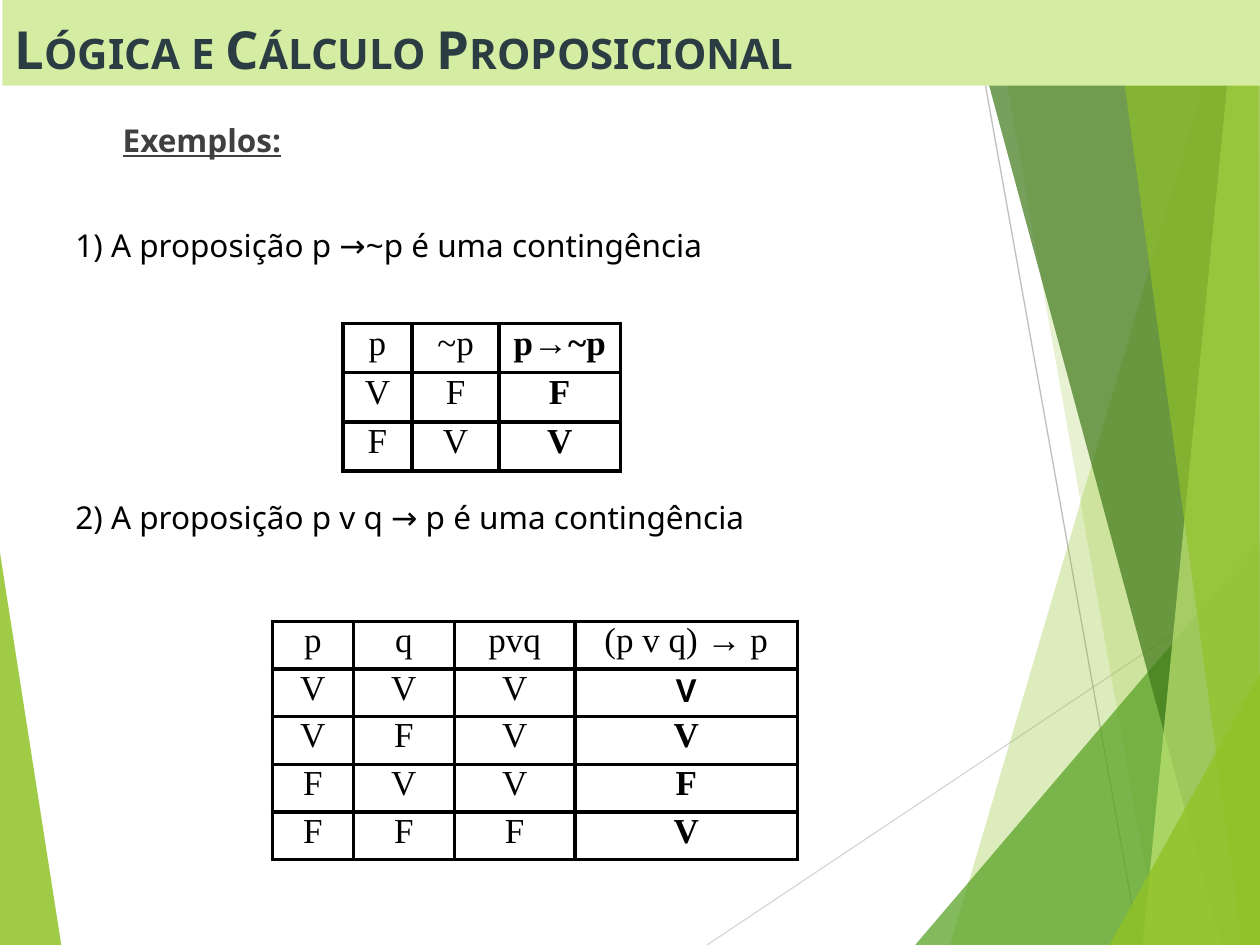
from dataclasses import dataclass

from lxml.etree import SubElement
from pptx import Presentation
from pptx.dml.color import RGBColor
from pptx.enum.shapes import MSO_CONNECTOR, MSO_SHAPE
from pptx.enum.text import MSO_ANCHOR, PP_ALIGN
from pptx.oxml.ns import qn
from pptx.util import Pt

BLACK = RGBColor(0x00, 0x00, 0x00)
GRAY = RGBColor(0x40, 0x40, 0x40)
SLATE = RGBColor(0x2C, 0x3C, 0x43)
PALE_GREEN = RGBColor(0xD5, 0xED, 0xA2)
LIME = RGBColor(0x90, 0xC2, 0x26)
LIGHT_LIME = RGBColor(0xC0, 0xE4, 0x74)
GREEN = RGBColor(0x54, 0xA0, 0x21)
DARK_GREEN = RGBColor(0x3F, 0x78, 0x19)
SILVER = RGBColor(0xBF, 0xBF, 0xBF)
LIGHT_SILVER = RGBColor(0xD9, 0xD9, 0xD9)

SANS = "Noto Sans"
SERIF = "Times New Roman"
WIDTH, HEIGHT = 720, 540


@dataclass
class Facet:
    points: list[tuple[float, float]]
    color: RGBColor
    opacity: int


@dataclass
class Ray:
    start: tuple[float, float]
    end: tuple[float, float]
    color: RGBColor


@dataclass
class TruthTable:
    left: float
    top: float
    column_widths: list[float]
    row_height: float
    rows: list[list[str]]
    bold_cells: set[tuple[int, int]]
    font_by_cell: dict[tuple[int, int], str]


BOTTOM_RIGHT, TOP_RIGHT = (WIDTH, HEIGHT), (WIDTH, 0)

DECORATION = [
    Facet([(0, 316), (35.3, HEIGHT), (0, HEIGHT)], LIME, 85),
    Ray((404, HEIGHT), (WIDTH, 329), LIGHT_SILVER),
    Ray((554.4, 0), (651, HEIGHT), SILVER),
    Facet([(702, 0), (543, HEIGHT), BOTTOM_RIGHT, TOP_RIGHT], LIME, 30),
    Facet([(567.4, 0), (661.7, HEIGHT), BOTTOM_RIGHT, TOP_RIGHT], LIME, 20),
    Facet([(522.7, HEIGHT), (WIDTH, 309), BOTTOM_RIGHT], GREEN, 72),
    Facet([(552.2, 0), (698.4, HEIGHT), BOTTOM_RIGHT, TOP_RIGHT], DARK_GREEN, 70),
    Facet([(706.3, 0), (653, HEIGHT), BOTTOM_RIGHT, TOP_RIGHT], LIGHT_LIME, 70),
    Facet([(635.8, 0), (710, HEIGHT), BOTTOM_RIGHT, (718.6, 0)], LIME, 65),
    Facet([(634.3, HEIGHT), (WIDTH, 385.2), BOTTOM_RIGHT], LIME, 80),
]

TRUTH_TABLES = [
    TruthTable(195.9, 185, [39.6, 49.7, 69.3], 28.05,
               [["p", "~p", "p→~p"], ["V", "F", "F"], ["F", "V", "V"]],
               {(row, 2) for row in range(3)}, {}),
    TruthTable(155.6, 355, [46.4, 57.6, 69.1, 127], 27.25,
               [["p", "q", "pvq", "(p v q) → p"],
                ["V", "V", "V", "V"],
                ["V", "F", "V", "V"],
                ["F", "V", "V", "F"],
                ["F", "F", "F", "V"]],
               {(row, 3) for row in range(1, 5)}, {(1, 3): "Calibri"}),
]


def write_text(paragraph, text: str, *, size: float, color: RGBColor,
               font: str = SANS, bold: bool = False, underline: bool = False,
               small_caps: bool = False, align=PP_ALIGN.LEFT,
               space_before: float = 0, indent: float = 0) -> None:
    paragraph.alignment = align
    paragraph.space_before = Pt(space_before)
    if indent:
        paragraph._p.get_or_add_pPr().set("marL", str(Pt(indent)))
    run = paragraph.add_run()
    run.text = text
    run.font.size = Pt(size)
    run.font.name = font
    run.font.bold = bold
    run.font.underline = underline
    run.font.color.rgb = color
    if small_caps:
        run.font._element.set("cap", "small")


def draw_facet(slide, facet: Facet) -> None:
    builder = slide.shapes.build_freeform(*facet.points[0], scale=Pt(1))
    builder.add_line_segments(facet.points[1:], close=True)
    shape = builder.convert_to_shape()
    shape.shadow.inherit = False
    shape.line.fill.background()
    shape.fill.solid()
    shape.fill.fore_color.rgb = facet.color
    color = shape._element.spPr.find(qn("a:solidFill"))[0]
    SubElement(color, qn("a:alpha")).set("val", str(facet.opacity * 1000))


def draw_ray(slide, ray: Ray) -> None:
    ends = [Pt(value) for value in ray.start + ray.end]
    connector = slide.shapes.add_connector(MSO_CONNECTOR.STRAIGHT, *ends)
    connector.line.color.rgb = ray.color
    connector.line.width = Pt(0.75)
    SubElement(connector._element.spPr, qn("a:effectLst"))


def set_borders(cell, color: RGBColor, width: float) -> None:
    properties = cell._tc.get_or_add_tcPr()
    for position, side in enumerate(("lnL", "lnR", "lnT", "lnB")):
        line = SubElement(properties, qn(f"a:{side}"), w=str(Pt(width)))
        fill = SubElement(line, qn("a:solidFill"))
        SubElement(fill, qn("a:srgbClr"), val=str(color))
        properties.insert(position, line)


def draw_truth_table(slide, data: TruthTable) -> None:
    frame = slide.shapes.add_table(
        len(data.rows), len(data.column_widths), Pt(data.left), Pt(data.top),
        Pt(sum(data.column_widths)), Pt(data.row_height * len(data.rows)))
    table = frame.table
    table.first_row = table.horz_banding = False
    for column, width in zip(table.columns, data.column_widths):
        column.width = Pt(width)
    for row_index, values in enumerate(data.rows):
        table.rows[row_index].height = Pt(data.row_height)
        for column_index, value in enumerate(values):
            position = (row_index, column_index)
            cell = table.cell(*position)
            cell.fill.background()
            cell.margin_left = cell.margin_right = Pt(3.6)
            cell.margin_top = cell.margin_bottom = Pt(0)
            set_borders(cell, BLACK, 2.25)
            write_text(cell.text_frame.paragraphs[0], value, size=20, color=BLACK,
                       font=data.font_by_cell.get(position, SERIF),
                       bold=position in data.bold_cells, align=PP_ALIGN.CENTER)


presentation = Presentation()
presentation.slide_width, presentation.slide_height = Pt(WIDTH), Pt(HEIGHT)
slide = presentation.slides.add_slide(presentation.slide_layouts[6])

# Green background facets and thin rays
for part in DECORATION:
    if isinstance(part, Facet):
        draw_facet(slide, part)
    else:
        draw_ray(slide, part)

# Body text, with gaps left for the tables
body = slide.shapes.add_textbox(Pt(36), Pt(65.5), Pt(624), Pt(443.5)).text_frame
body.word_wrap = True
write_text(body.paragraphs[0], "Exemplos:", size=18, color=GRAY, bold=True,
           underline=True, indent=27)
for statement, gap in (("1) A proposição p →~p é uma contingência", 38.4),
                       ("2) A proposição p v q → p é uma contingência", 133.8)):
    write_text(body.add_paragraph(), statement, size=18, color=BLACK,
               space_before=gap)

# Title band
band = slide.shapes.add_shape(MSO_SHAPE.RECTANGLE, Pt(1.4), Pt(0), Pt(718.6), Pt(49))
band.shadow.inherit = False
band.fill.solid()
band.fill.fore_color.rgb = PALE_GREEN
band.line.fill.background()
band.text_frame.word_wrap = True
band.text_frame.vertical_anchor = MSO_ANCHOR.BOTTOM
write_text(band.text_frame.paragraphs[0], "Lógica e Cálculo Proposicional",
           size=30, color=SLATE, bold=True, small_caps=True)

# Truth tables
for truth_table in TRUTH_TABLES:
    draw_truth_table(slide, truth_table)

presentation.save("out.pptx")
